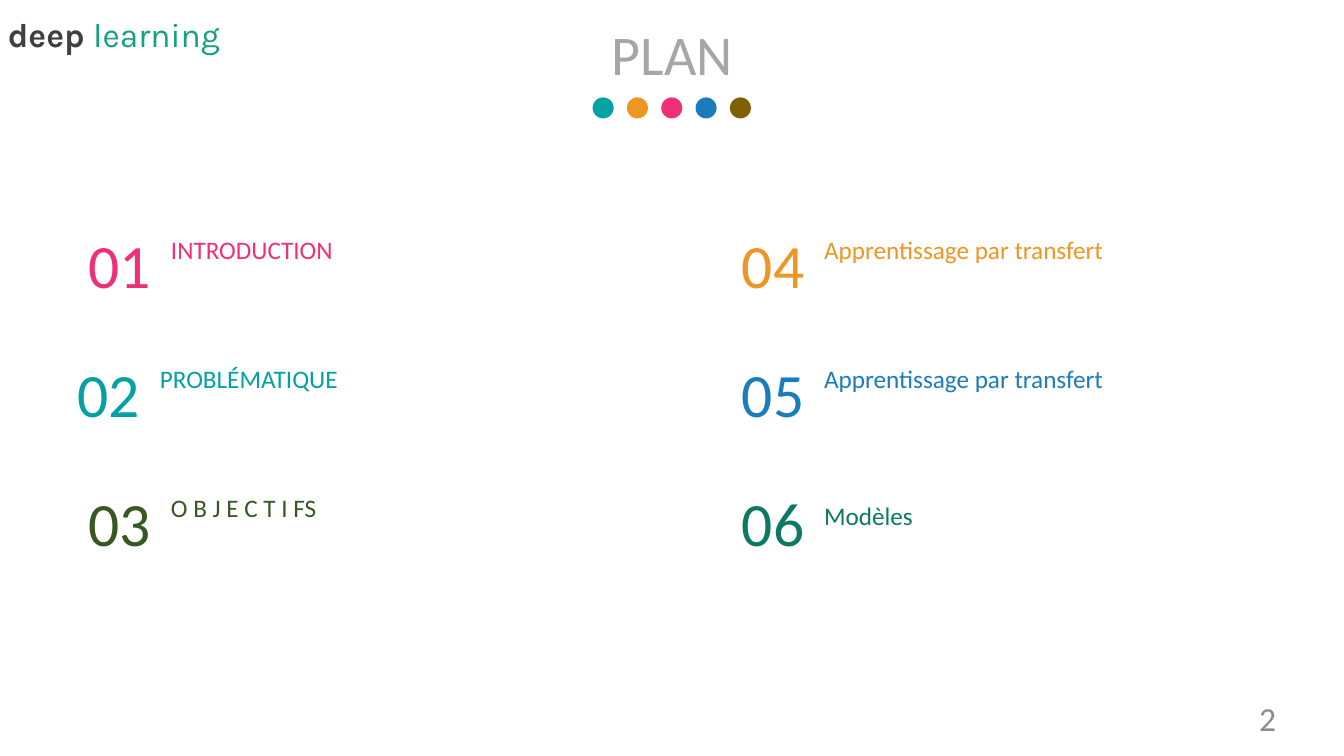
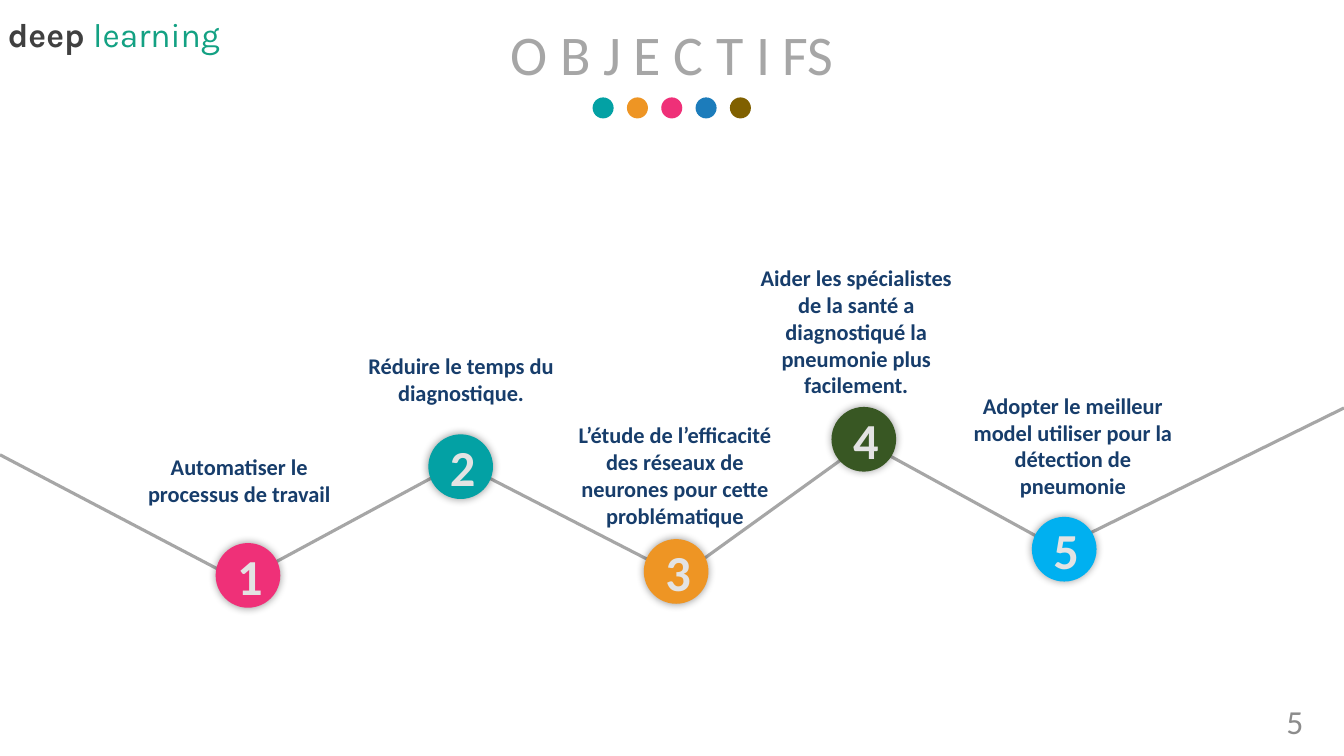
"""Build the plan and objectives slides of a deep learning presentation."""
from copy import deepcopy
from dataclasses import dataclass

from lxml import etree
from pptx import Presentation
from pptx.dml.color import RGBColor
from pptx.enum.shapes import MSO_CONNECTOR, MSO_SHAPE
from pptx.enum.text import MSO_ANCHOR, MSO_AUTO_SIZE, PP_ALIGN
from pptx.oxml.ns import qn
from pptx.util import Cm, Pt

LEFT, CENTER, RIGHT = PP_ALIGN.LEFT, PP_ALIGN.CENTER, PP_ALIGN.RIGHT
MIDDLE, TOP = MSO_ANCHOR.MIDDLE, MSO_ANCHOR.TOP
NO_FIT, GROW = MSO_AUTO_SIZE.NONE, MSO_AUTO_SIZE.SHAPE_TO_FIT_TEXT
OVAL, STRAIGHT = MSO_SHAPE.OVAL, MSO_CONNECTOR.STRAIGHT


@dataclass(frozen=True)
class Theme:
    font: str = "Calibri"
    brand_font: str = "Karla"
    teal: str = "03A1A4"
    orange: str = "EE9524"
    pink: str = "EF3078"
    blue: str = "1C7CBB"
    brown: str = "806000"
    forest: str = "385723"
    emerald: str = "0E7962"
    sky: str = "00B0F0"
    navy: str = "173D6B"
    gray: str = "A6A6A6"
    page_gray: str = "8C8C8C"
    digit_gray: str = "E3E3E3"
    brand_dark: str = "404040"
    brand_green: str = "13A183"
    title_size: int = 40
    number_size: int = 44
    label_size: int = 18
    caption_size: int = 16
    digit_size: int = 36
    small_title_size: int = 24


T = Theme()
SHADOW = etree.fromstring(
    '<a:outerShdw xmlns:a="http://schemas.openxmlformats.org/drawingml/2006/main" '
    'blurRad="76200" dist="0" dir="0" algn="ctr" rotWithShape="0">'
    '<a:srgbClr val="000000"><a:alpha val="40000"/></a:srgbClr></a:outerShdw>'
)


def write(sp, text, size, color, align=LEFT, bold=False, font=T.font, anchor=TOP, fit=GROW):
    tf = sp.text_frame
    tf.text = text
    tf.word_wrap = True
    tf.auto_size = fit
    tf.vertical_anchor = anchor
    p = tf.paragraphs[0]
    p.alignment = align
    r = p.runs[0]
    r.font.name, r.font.size, r.font.bold = font, Pt(size), bold
    r.font.color.rgb = RGBColor.from_string(color)
    return p


def add_circle(s, x, y, diameter, color):
    sp = s.shapes.add_shape(
        OVAL, Cm(x - diameter / 2), Cm(y - diameter / 2), Cm(diameter), Cm(diameter))
    sp.shadow.inherit = False
    sp.fill.solid()
    sp.fill.fore_color.rgb = RGBColor.from_string(color)
    sp.line.fill.background()
    return sp


prs = Presentation()
prs.slide_width, prs.slide_height = Cm(33.87), Cm(19.05)
center_x = 16.93

slides = []
for title, page, page_left, page_top in (
    ("PLAN", "2", 24.79, 17.58),
    ("O B J E C T I FS", "5", 25.48, 17.65),
):
    s = prs.slides.add_slide(prs.slide_layouts[5])
    sp = s.shapes.title
    sp.left, sp.top, sp.width, sp.height = Cm(6.83), Cm(0.36), Cm(20.22), Cm(1.96)
    write(sp, title, T.title_size, T.gray, CENTER)

    for i, color in enumerate((T.teal, T.orange, T.pink, T.blue, T.brown)):
        add_circle(s, center_x + (i - 2) * 0.865, 2.72, 0.53, color)

    sp = s.shapes.add_textbox(Cm(0.2), Cm(0.36), Cm(6), Cm(1.02))
    p = write(sp, "deep ", T.small_title_size, T.brand_dark, bold=True, font=T.brand_font)
    tf = sp.text_frame
    tf.margin_left = tf.margin_top = tf.margin_right = tf.margin_bottom = 0
    r = p.add_run()
    r.text = "learning"
    r.font.name, r.font.size, r.font.bold = T.brand_font, Pt(T.small_title_size), False
    r.font.color.rgb = RGBColor.from_string(T.brand_green)

    sp = s.shapes.add_textbox(Cm(page_left), Cm(page_top), Cm(7.62), Cm(1.02))
    write(sp, page, T.small_title_size, T.page_gray, RIGHT, anchor=MIDDLE, fit=NO_FIT)
    slides.append(s)

plan, objectives = slides

topics = (
    ("INTRODUCTION", T.pink, 1.52, 0.2),
    ("PROBLÉMATIQUE", T.teal, 1.24, 0.2),
    ("O B J E C T I FS", T.forest, 1.52, 0.2),
    ("Apprentissage par transfert", T.orange, 17.98, 0.2),
    ("Apprentissage par transfert", T.blue, 17.98, 0.2),
    ("Modèles", T.emerald, 17.98, 0.4),
)
number_width = 2.54
for i, (label, color, left, label_drop) in enumerate(topics):
    top = 5.59 + i % 3 * 3.25
    sp = plan.shapes.add_textbox(Cm(left), Cm(top), Cm(number_width), Cm(2.13))
    write(sp, f"{i + 1:02}", T.number_size, color, RIGHT)
    sp = plan.shapes.add_textbox(
        Cm(left + number_width), Cm(top + label_drop), Cm(11.9), Cm(1.02))
    write(sp, label, T.label_size, color)

for ends in (
    (0, 11.46, 6.1, 14.66),
    (6.45, 14.43, 11.4, 11.76),
    (12.22, 11.99, 16.97, 14.43),
    (17.25, 14.43, 21.62, 11.28),
    (21.72, 11.1, 26.72, 13.84),
    (27.15, 13.59, 33.87, 10.28),
):
    line = objectives.shapes.add_connector(STRAIGHT, *map(Cm, ends))
    line.line.color.rgb = RGBColor.from_string(T.gray)
    line.line.width = Pt(2.25)
    etree.SubElement(line._element.spPr, qn("a:effectLst"))

steps = (
    ("Automatiser le processus de travail", T.pink, 6.25, 14.5, 3.07, 11.3, 1.63),
    ("Réduire le temps du diagnostique.", T.teal, 11.61, 11.76, 8.66, 8.76, 1.63),
    ("L’étude de l’efficacité des réseaux de neurones pour cette problématique",
     T.orange, 17.04, 14.4, 14.05, 10.49, 3),
    ("Aider les spécialistes de la santé a diagnostiqué la pneumonie plus facilement.",
     T.forest, 21.77, 11.07, 18.62, 6.53, 3.68),
    ("Adopter le meilleur model utiliser pour la détection de pneumonie",
     T.sky, 26.82, 13.84, 24.08, 9.75, 3),
)
for i, (caption, color, x, y, left, top, height) in enumerate(steps, 1):
    sp = add_circle(objectives, x, y, 1.63, color)
    sp._element.spPr.find(qn("a:effectLst")).append(deepcopy(SHADOW))
    p = write(sp, str(i), T.digit_size, T.digit_gray, CENTER, True, anchor=MIDDLE, fit=NO_FIT)
    tf = sp.text_frame
    tf.word_wrap = False
    tf.margin_left, tf.margin_right, tf.margin_top, tf.margin_bottom = Cm(0.1), 0, 0, 0
    effects = etree.Element(qn("a:effectLst"))
    effects.append(deepcopy(SHADOW))
    p.runs[0]._r.get_or_add_rPr().find(qn("a:solidFill")).addnext(effects)

    sp = objectives.shapes.add_textbox(Cm(left), Cm(top), Cm(5.92), Cm(height))
    write(sp, caption, T.caption_size, T.navy, CENTER, True)

prs.save("out.pptx")
